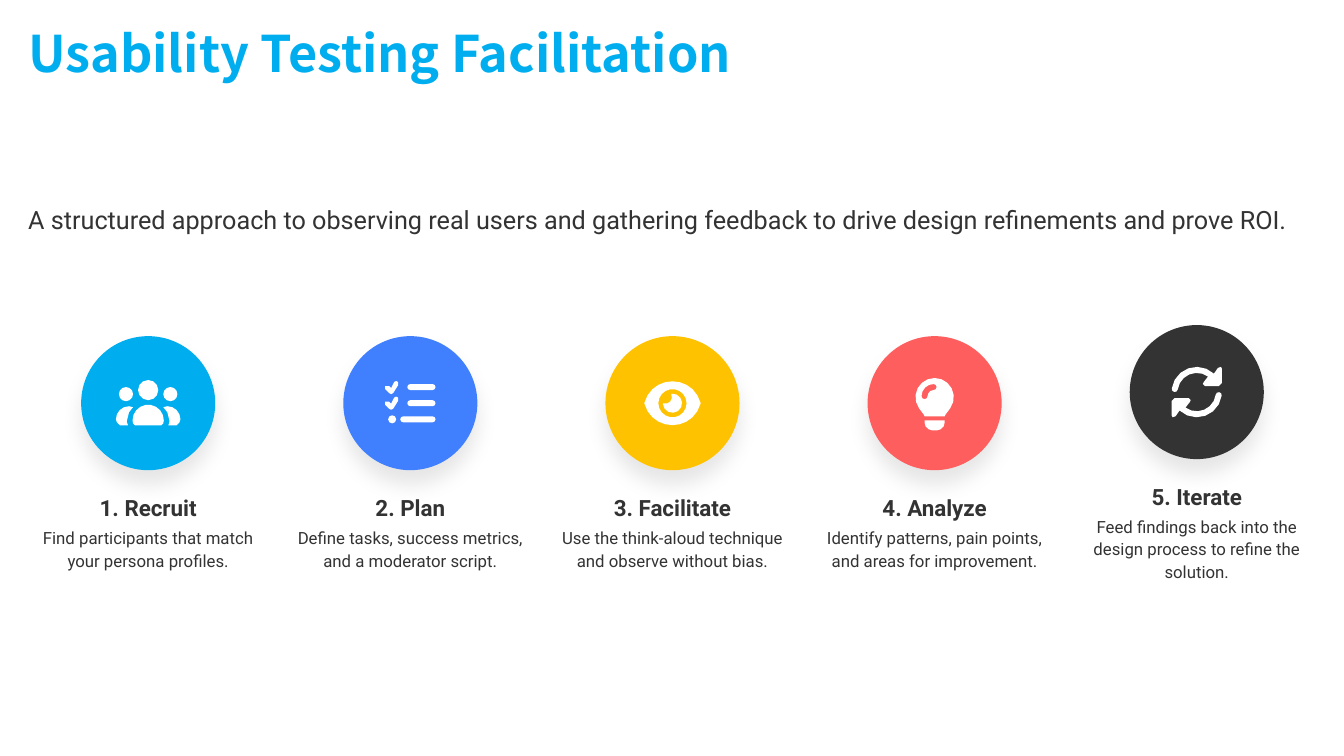
import math

import lxml.etree
import pptx
import pptx.dml.color
import pptx.enum.shapes
import pptx.enum.text
import pptx.oxml.ns
import pptx.util
from pptx.util import Inches

COLORS = {
    "cyan": "00AEEF", "blue": "4080FF", "yellow": "FFC200", "coral": "FF5E5E",
    "dark": "333333", "white": "FFFFFF", "shadow": "000000",
}
BODY_FONT = "Roboto"
TITLE_FONT = "Noto Sans CJK SC"

FIRST_CENTER, COLUMN_PITCH = 1.47, 2.6
CIRCLE_SIZE = 1.33
DESCRIPTION_WIDTH, LINE_HEIGHT = 2.38, 0.22


def rgb(name):
    return pptx.dml.color.RGBColor.from_string(COLORS[name])


def arc(x, y, radius, start, end):
    """Points along a circle, in degrees, clockwise from the right."""
    step = 45 if radius < 0.05 else 30 if radius < 0.12 else 20
    count = max(2, round(abs(end - start) / step))
    angles = [math.radians(start + (end - start) * i / count) for i in range(count + 1)]
    return [(x + radius * math.cos(a), y + radius * math.sin(a)) for a in angles]


def circle(x, y, radius):
    return arc(x, y, radius, 0, 360)[:-1]


def pill(left, right, y, radius):
    return arc(right - radius, y, radius, -90, 90) + arc(left + radius, y, radius, 90, 270)


def curve(points, count=10):
    """Points along a cubic Bezier curve, without the last one."""
    result = []
    for i in range(count):
        t = i / count
        weights = ((1 - t) ** 3, 3 * t * (1 - t) ** 2, 3 * t * t * (1 - t), t ** 3)
        result.append(tuple(sum(w * p[axis] for w, p in zip(weights, points)) for axis in (0, 1)))
    return result


def cap(x, y, radius, angle, turn):
    """Half circle that closes a band at the given angle of its ring."""
    center_x = x + radius * math.cos(math.radians(angle))
    center_y = y + radius * math.sin(math.radians(angle))
    return arc(center_x, center_y, 0.03, angle + turn, angle + turn + 180)[1:-1]


def flip(points, x_sign, y_sign):
    return [(x * x_sign, y * y_sign) for x, y in points]


def people_icon():
    body = arc(0, 0.17, 0.155, 180, 360) + [
        (0.15, 0.2), (0.13, 0.22), (-0.13, 0.22), (-0.15, 0.2)]
    neighbour = arc(-0.19, 0.16, 0.13, 180, 270) + [
        (-0.15, 0.04), (-0.19, 0.09), (-0.21, 0.17), (-0.21, 0.19),
        (-0.2, 0.22), (-0.28, 0.22), (-0.31, 0.19)]
    head = circle(-0.22, -0.09, 0.07)
    return [circle(0, -0.13, 0.1), body, head, flip(head, -1, 1),
            neighbour, flip(neighbour, -1, 1)]


def checklist_icon():
    check = [(-0.12, -0.21), (-0.12, -0.18), (-0.17, -0.1), (-0.19, -0.09),
             (-0.21, -0.1), (-0.25, -0.14), (-0.25, -0.17), (-0.21, -0.17),
             (-0.19, -0.15), (-0.16, -0.21), (-0.14, -0.22)]
    return [check, [(x, y + 0.155) for x, y in check],
            pill(-0.03, 0.25, -0.16, 0.03), pill(-0.03, 0.25, 0, 0.03),
            pill(-0.1, 0.25, 0.16, 0.03), circle(-0.18, 0.16, 0.04)]


def eye_icon():
    lid = curve([(-0.28, 0), (-0.2, -0.29), (0.2, -0.29), (0.28, 0)])
    pupil = arc(0, 0, 0.095, -95, 175) + arc(-0.07, -0.06, 0.065, 110, -25)
    return [lid + flip(lid, -1, -1), circle(0, 0, 0.14), pupil]


def bulb_icon():
    glass = arc(0, -0.06, 0.19, 145, 395) + [
        (0.11, 0.11), (0.1, 0.13), (-0.1, 0.13), (-0.11, 0.11)]
    base = ([(-0.1, 0.17), (0.1, 0.17)]
            + arc(0.02, 0.19, 0.08, 0, 90) + arc(-0.02, 0.19, 0.08, 90, 180))
    x, y = -0.01, -0.07
    shine = (arc(x, y, 0.12, 180, 270) + cap(x, y, 0.09, 270, 0)
             + arc(x, y, 0.06, 270, 180) + cap(x, y, 0.09, 180, 180))
    return [glass, base, shine]


def cycle_icon():
    arrow_head = [(0.21, -0.24), (0.24, -0.25), (0.25, -0.23), (0.25, -0.09),
                  (0.22, -0.06), (0.08, -0.06), (0.06, -0.08), (0.07, -0.1)]
    arrow = (arc(0, 0, 0.25, 188, 313) + arrow_head
             + arc(0, 0, 0.19, 306, 188) + cap(0, 0, 0.22, 188, 180))
    return [arrow, flip(arrow, -1, -1)]


STEPS = [
    ("1. Recruit", 1.24, "Find participants that match your persona profiles.",
     2, "cyan", people_icon),
    ("2. Plan", 0.94, "Define tasks, success metrics, and a moderator script.",
     2, "blue", checklist_icon),
    ("3. Facilitate", 1.43, "Use the think-aloud technique and observe without bias.",
     2, "yellow", eye_icon),
    ("4. Analyze", 1.31, "Identify patterns, pain points, and areas for improvement.",
     2, "coral", bulb_icon),
    ("5. Iterate", 1.14, "Feed findings back into the design process to refine the solution.",
     3, "dark", cycle_icon),
]


def fill_shape(shape, color):
    shape.shadow.inherit = False
    shape.fill.solid()
    shape.fill.fore_color.rgb = rgb(color)
    shape.line.fill.background()


def add_text(slide, text, box, size, spacing, color="dark", font=BODY_FONT,
             bold=False, centered=False):
    frame = slide.shapes.add_textbox(*map(Inches, box)).text_frame
    frame.word_wrap = True
    frame.vertical_anchor = pptx.enum.text.MSO_ANCHOR.MIDDLE
    frame.margin_left = frame.margin_right = frame.margin_top = frame.margin_bottom = 0
    paragraph = frame.paragraphs[0]
    paragraph.text = text
    paragraph.line_spacing = spacing
    if centered:
        paragraph.alignment = pptx.enum.text.PP_ALIGN.CENTER
    paragraph.font.name = font
    paragraph.font.size = pptx.util.Pt(size)
    paragraph.font.bold = bold
    paragraph.font.color.rgb = rgb(color)


def add_soft_shadow(shape):
    qn = pptx.oxml.ns.qn
    effects = shape.element.spPr.find(qn("a:effectLst"))
    shadow = lxml.etree.SubElement(
        effects, qn("a:outerShdw"), blurRad=str(pptx.util.Pt(15)),
        dist=str(pptx.util.Pt(10)), dir="5400000", algn="ctr", rotWithShape="0")
    color = lxml.etree.SubElement(shadow, qn("a:srgbClr"), val=COLORS["shadow"])
    lxml.etree.SubElement(color, qn("a:alpha"), val="10000")


def add_circle(slide, center_x, center_y, color):
    shape = slide.shapes.add_shape(
        pptx.enum.shapes.MSO_SHAPE.OVAL,
        Inches(center_x - CIRCLE_SIZE / 2), Inches(center_y - CIRCLE_SIZE / 2),
        Inches(CIRCLE_SIZE), Inches(CIRCLE_SIZE))
    fill_shape(shape, color)
    add_soft_shadow(shape)


def add_icon(slide, center_x, center_y, outlines):
    """Draw all outlines as one white freeform; nested outlines are holes."""
    builder = None
    for outline in outlines:
        points = [(Inches(center_x + x), Inches(center_y + y)) for x, y in outline]
        if builder is None:
            builder = slide.shapes.build_freeform(*points[0])
        else:
            builder.move_to(*points[0])
        builder.add_line_segments(points[1:], close=True)
    fill_shape(builder.convert_to_shape(), "white")


def add_step(slide, index, heading, heading_width, description, lines, color, icon):
    center_x = FIRST_CENTER + COLUMN_PITCH * index
    center_y = 4 - (lines - 2) * LINE_HEIGHT / 2
    add_circle(slide, center_x, center_y, color)
    add_icon(slide, center_x, center_y, icon())
    add_text(slide, heading,
             (center_x - heading_width / 2, center_y + 0.83, heading_width, 0.33),
             16, 1.3, bold=True, centered=True)
    add_text(slide, description,
             (center_x - DESCRIPTION_WIDTH / 2, center_y + 1.22,
              DESCRIPTION_WIDTH, lines * LINE_HEIGHT),
             12, 1.1, centered=True)


def main():
    presentation = pptx.Presentation()
    presentation.slide_width = Inches(13.33)
    presentation.slide_height = Inches(7.5)
    slide = presentation.slides.add_slide(presentation.slide_layouts[6])
    add_text(slide, "Usability Testing Facilitation", (0.28, 0.28, 13.03, 0.56),
             36, 0.9, color="cyan", font=TITLE_FONT, bold=True)
    add_text(slide, "A structured approach to observing real users and gathering feedback "
             "to drive design refinements and prove ROI.", (0.28, 1.94, 13.03, 0.39), 18, 1.3)
    for index, step in enumerate(STEPS):
        add_step(slide, index, *step)
    presentation.save("out.pptx")


if __name__ == "__main__":
    main()
